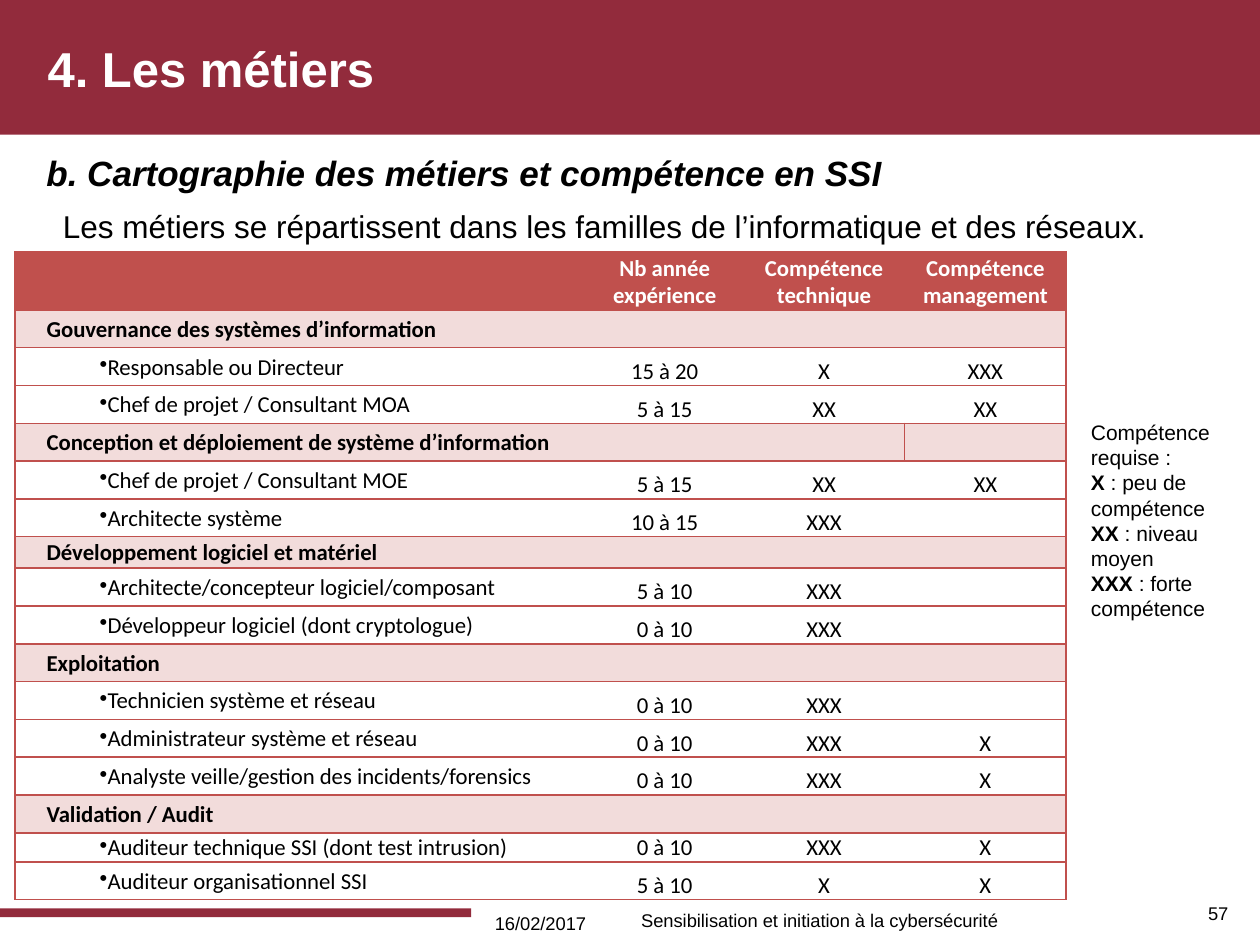
from lxml import etree
from pptx import Presentation
from pptx.dml.color import RGBColor
from pptx.enum.shapes import MSO_SHAPE
from pptx.enum.text import MSO_ANCHOR, PP_ALIGN
from pptx.oxml.ns import qn
from pptx.util import Inches, Pt

RECT = MSO_SHAPE.RECTANGLE
TOP, MIDDLE, BOTTOM = MSO_ANCHOR.TOP, MSO_ANCHOR.MIDDLE, MSO_ANCHOR.BOTTOM
LEFT, CENTER = PP_ALIGN.LEFT, PP_ALIGN.CENTER

BURGUNDY, RED, PINK = "922B3C", "C0504D", "F2DCDB"
WHITE, BLACK = "FFFFFF", "000000"
NO_GRID_STYLE = "{2D5ABB26-0587-4C30-8999-92F81FD0307C}"

COL_WIDTHS = [4.53, 1.25, 1.28, 1.28]
ROW_HEIGHT = 0.3
SPECIAL_HEIGHTS = {0: 0.46, 7: 0.25, 15: 0.23}
HEADER = ["", "Nb année\nexpérience", "Compétence\ntechnique", "Compétence\nmanagement"]
FAMILIES = [
    ("Gouvernance des systèmes d’information", [
        ("Responsable ou Directeur", "15 à 20", "X", "XXX"),
        ("Chef de projet / Consultant MOA", "5 à 15", "XX", "XX"),
    ]),
    ("Conception et déploiement de système d’information", [
        ("Chef de projet / Consultant MOE", "5 à 15", "XX", "XX"),
        ("Architecte système", "10 à 15", "XXX", ""),
    ]),
    ("Développement logiciel et matériel", [
        ("Architecte/concepteur logiciel/composant", "5 à 10", "XXX", ""),
        ("Développeur logiciel (dont cryptologue)", "0 à 10", "XXX", ""),
    ]),
    ("Exploitation", [
        ("Technicien système et réseau", "0 à 10", "XXX", ""),
        ("Administrateur système et réseau", "0 à 10", "XXX", "X"),
        ("Analyste veille/gestion des incidents/forensics", "0 à 10", "XXX", "X"),
    ]),
    ("Validation / Audit", [
        ("Auditeur technique SSI (dont test intrusion)", "0 à 10", "XXX", "X"),
        ("Auditeur organisationnel SSI", "5 à 10", "X", "X"),
    ]),
]
MERGED_FAMILY = FAMILIES[1][0]
LEGEND = [
    [("Compétence requise :", False)],
    [("X", True), (" : peu de compétence", False)],
    [("XX", True), (" : niveau moyen", False)],
    [("XXX ", True), (": forte compétence", False)],
]


def rgb(color):
    return RGBColor.from_string(color)


def style_run(r, size, color=BLACK, bold=False, italic=False, font="Arial"):
    r.font.name, r.font.size = font, Pt(size)
    r.font.bold, r.font.italic = bold, italic
    r.font.color.rgb = rgb(color)


def add_band(s, x, y, w, h):
    sp = s.shapes.add_shape(RECT, Inches(x), Inches(y), Inches(w), Inches(h))
    sp.shadow.inherit = False
    sp.fill.solid()
    sp.fill.fore_color.rgb = rgb(BURGUNDY)
    sp.line.fill.background()


def add_text(s, box, paragraphs, size, color=BLACK, italic=False, anchor=TOP, align=LEFT):
    """Each paragraph is a list of (text, bold) pairs."""
    tf = s.shapes.add_textbox(*map(Inches, box)).text_frame
    tf.word_wrap = True
    tf.vertical_anchor = anchor
    for i, parts in enumerate(paragraphs):
        p = tf.add_paragraph() if i else tf.paragraphs[0]
        p.alignment = align
        for text, bold in parts:
            r = p.add_run()
            r.text = text
            style_run(r, size, color, bold, italic)


def set_borders(cell, sides):
    tc_pr = cell._tc.get_or_add_tcPr()
    for side in sides:
        ln = etree.SubElement(tc_pr, qn(f"a:ln{side}"), w=str(Pt(1)))
        fill = etree.SubElement(ln, qn("a:solidFill"))
        etree.SubElement(fill, qn("a:srgbClr"), val=RED)


def add_bullet(p):
    p_pr = p._p.get_or_add_pPr()
    p_pr.set("marL", "0")
    p_pr.set("indent", "0")
    etree.SubElement(p_pr, qn("a:buChar"), char="•")


def fill_cell(cell, text, fill, sides, indent=0.01, color=BLACK, bold=False,
              bullet=False, anchor=BOTTOM, align=CENTER):
    set_borders(cell, sides)
    cell.fill.solid()
    cell.fill.fore_color.rgb = rgb(fill)
    cell.margin_left = Inches(indent)
    cell.margin_right = cell.margin_top = Inches(0.01)
    cell.margin_bottom = 0
    cell.vertical_anchor = anchor
    cell.text_frame.text = text
    for p in cell.text_frame.paragraphs:
        p.alignment = align
        if bullet:
            add_bullet(p)
        for r in p.runs:
            style_run(r, 13, color, bold, font="Calibri")
        if not p.runs:
            etree.SubElement(p._p, qn("a:endParaRPr"), sz="1300")


def table_rows():
    """Yield the texts, fill, first-column style and common style of each row."""
    yield HEADER, RED, {}, {"color": WHITE, "bold": True}
    label = {"anchor": MIDDLE, "align": LEFT}
    for family, jobs in FAMILIES:
        yield [family, "", "", ""], PINK, {**label, "indent": 0.25, "bold": True}, {}
        for job in jobs:
            yield job, WHITE, {**label, "indent": 0.67, "bullet": True}, {}


def add_jobs_table(s):
    rows = list(table_rows())
    heights = [SPECIAL_HEIGHTS.get(i, ROW_HEIGHT) for i in range(len(rows))]
    frame = s.shapes.add_table(len(rows), len(COL_WIDTHS), Inches(0.12), Inches(2),
                               Inches(sum(COL_WIDTHS)), Inches(sum(heights)))
    table = frame.table
    table.first_row = table.horz_banding = False
    table._tbl.tblPr.find(qn("a:tableStyleId")).text = NO_GRID_STYLE
    for col, width in zip(table.columns, COL_WIDTHS):
        col.width = Inches(width)
    last = len(COL_WIDTHS) - 1
    for i, (texts, fill, first_style, style) in enumerate(rows):
        table.rows[i].height = Inches(heights[i])
        merged = texts[0] == MERGED_FAMILY
        for j, text in enumerate(texts):
            left = "L" if j == 0 or (merged and j == last) else ""
            right = "R" if j == last or (merged and j == last - 1) else ""
            extra = first_style if j == 0 else {}
            fill_cell(table.cell(i, j), text, fill, left + right + "TB", **style, **extra)
        if merged:
            table.cell(i, 0).merge(table.cell(i, 1))


def main():
    prs = Presentation()
    prs.slide_width, prs.slide_height = Inches(10), Inches(7.5)
    s = prs.slides.add_slide(prs.slide_layouts[6])

    # Title band and footer bar
    add_band(s, 0, 0, 10, 1.07)
    add_band(s, 0, 7.21, 3.74, 0.07)
    add_text(s, (0.28, 0.01, 9.53, 1.06), [[("4. Les métiers", True)]], 28, WHITE,
             anchor=MIDDLE)

    # Footer
    add_text(s, (3.74, 7.13, 1.1, 0.4), [[("16/02/2017", False)]], 10.5,
             anchor=MIDDLE, align=CENTER)
    add_text(s, (4.99, 7.1, 3.32, 0.4),
             [[("Sensibilisation et initiation à la cybersécurité", False)]], 10.5,
             anchor=MIDDLE)
    add_text(s, (9.49, 7.05, 0.47, 0.4), [[("57", False)]], 10.5, anchor=MIDDLE)

    # Introduction and table
    add_text(s, (0.4, 1.59, 9.21, 0.4),
             [[("Les métiers se répartissent dans les familles de l’informatique "
                "et des réseaux.", False)]], 18)
    add_jobs_table(s)

    # Subtitle and legend
    add_text(s, (0.27, 1.15, 9.38, 0.41),
             [[("b. Cartographie des métiers et compétence en SSI", True)]], 20, italic=True)
    add_text(s, (8.56, 3.28, 1.46, 1.92), LEGEND, 12)

    prs.save("out.pptx")


if __name__ == "__main__":
    main()
